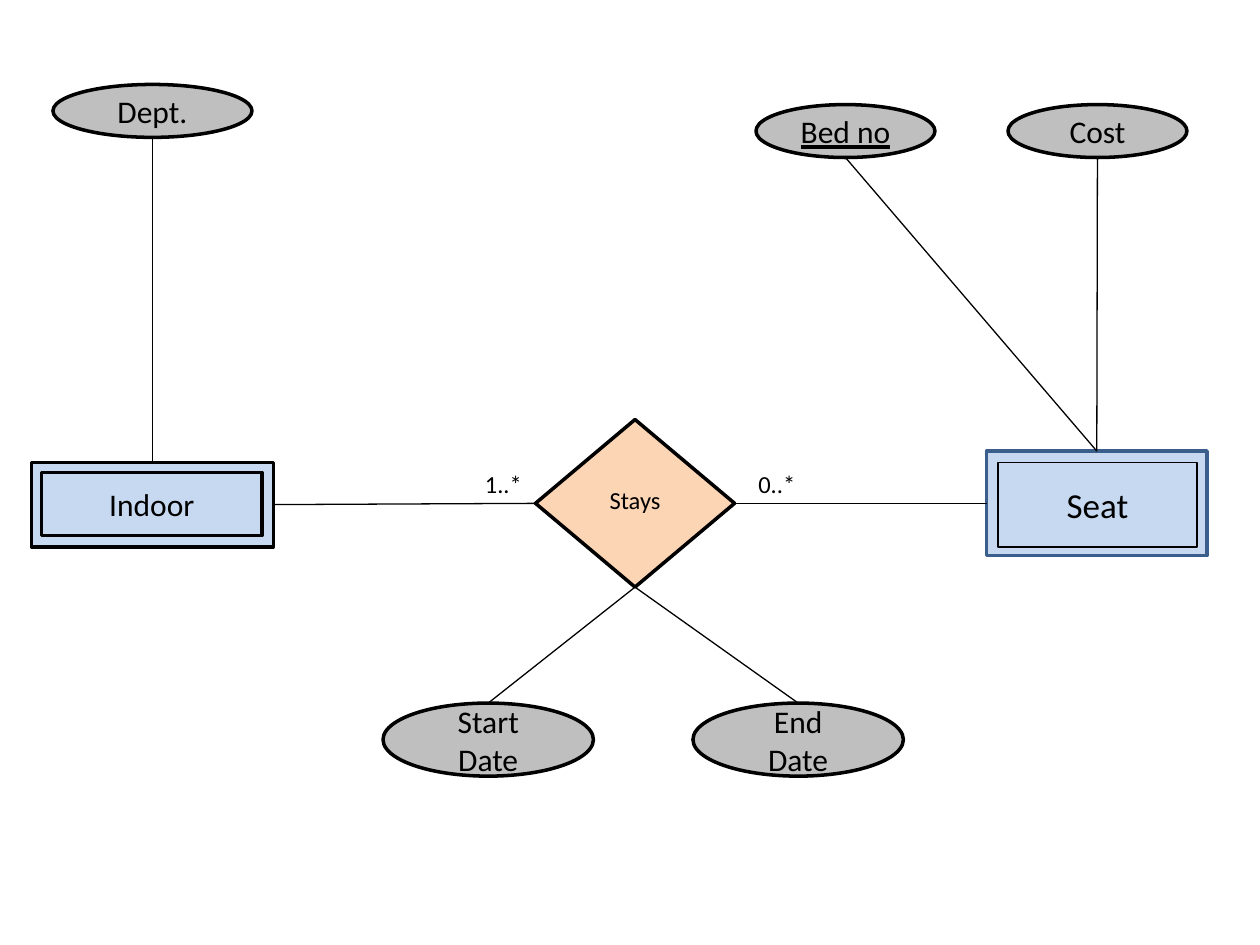
from dataclasses import dataclass

from lxml.etree import SubElement
from pptx import Presentation
from pptx.dml.color import RGBColor
from pptx.enum.shapes import MSO_CONNECTOR, MSO_SHAPE
from pptx.enum.text import MSO_ANCHOR, MSO_AUTO_SIZE, PP_ALIGN
from pptx.oxml.ns import qn
from pptx.shapes.autoshape import Shape
from pptx.slide import Slide
from pptx.util import Inches, Pt

COLORS = {
    "ink": "000000",
    "entity": "C6D9F1",
    "seat_border": "3A5F8C",
    "relationship": "FCD5B5",
    "attribute": "BFBFBF",
}
TOP, LEFT, BOTTOM, RIGHT = range(4)


@dataclass
class Node:
    kind: MSO_SHAPE
    left: float
    top: float
    width: float
    height: float
    fill: str
    text: str = ""
    size: int = 18
    border: str = "ink"
    border_width: float = 2
    underline: bool = False


def color(name: str) -> RGBColor:
    return RGBColor.from_string(COLORS[name])


def write(box: Shape, text: str, *, size: int, align: PP_ALIGN = PP_ALIGN.CENTER,
          underline: bool = False) -> None:
    for index, line in enumerate(text.split("\n")):
        frame = box.text_frame
        para = frame.add_paragraph() if index else frame.paragraphs[0]
        para.alignment = align
        span = para.add_run()
        span.text = line
        span.font.name = "Calibri"
        span.font.size = Pt(size)
        span.font.color.rgb = color("ink")
        if underline:
            span.font.underline = True


def draw_node(page: Slide, node: Node) -> Shape:
    box = page.shapes.add_shape(node.kind, Inches(node.left), Inches(node.top),
                                Inches(node.width), Inches(node.height))
    box.shadow.inherit = False
    box.fill.solid()
    box.fill.fore_color.rgb = color(node.fill)
    box.line.color.rgb = color(node.border)
    box.line.width = Pt(node.border_width)
    box.text_frame.vertical_anchor = MSO_ANCHOR.MIDDLE
    if node.text:
        write(box, node.text, size=node.size, underline=node.underline)
    return box


def draw_attribute(page: Slide, text: str, left: float, top: float, width: float,
                   height: float = 0.42, underline: bool = False) -> Shape:
    return draw_node(page, Node(MSO_SHAPE.OVAL, left, top, width, height,
                                "attribute", text, underline=underline))


def draw_link(page: Slide, start: Shape, start_site: int | None,
              end: Shape, end_site: int) -> None:
    """Join two shapes; without a start site, begin at the start's bottom middle."""
    line = page.shapes.add_connector(MSO_CONNECTOR.STRAIGHT,
                                     start.left + start.width // 2,
                                     start.top + start.height, end.left, end.top)
    if start_site is not None:
        line.begin_connect(start, start_site)
    line.end_connect(end, end_site)
    line.line.color.rgb = color("ink")
    line.line.width = Pt(0.75)
    SubElement(line._element.spPr, qn("a:effectLst"))


def draw_cardinality(page: Slide, text: str, left: float) -> None:
    box = page.shapes.add_textbox(Inches(left), Inches(3.67), Inches(0.5), Inches(0.34))
    box.text_frame.word_wrap = False
    box.text_frame.auto_size = MSO_AUTO_SIZE.SHAPE_TO_FIT_TEXT
    write(box, text, size=14, align=PP_ALIGN.LEFT)


def main() -> None:
    deck = Presentation()
    deck.slide_width, deck.slide_height = Inches(10), Inches(7.5)
    page = deck.slides.add_slide(deck.slide_layouts[6])

    # Weak entities: an outer and an inner rectangle each
    rect = MSO_SHAPE.RECTANGLE
    seat = draw_node(page, Node(rect, 7.83, 3.58, 1.75, 0.83, "entity",
                                border="seat_border"))
    draw_node(page, Node(rect, 7.92, 3.67, 1.58, 0.67, "entity", "Seat", size=20,
                         border_width=1))
    indoor = draw_node(page, Node(rect, 0.25, 3.67, 1.92, 0.67, "entity"))
    draw_node(page, Node(rect, 0.33, 3.75, 1.75, 0.5, "entity", "Indoor"))

    # Relationship
    stays = draw_node(page, Node(MSO_SHAPE.DIAMOND, 4.25, 3.33, 1.58, 1.33,
                                 "relationship", "Stays", size=14))
    stays.text_frame.word_wrap = False
    stays.text_frame.margin_bottom = Inches(0.1)

    # Attributes
    bed = draw_attribute(page, "Bed no", 6, 0.83, 1.42, underline=True)
    cost = draw_attribute(page, "Cost", 8, 0.83, 1.42)
    dept = draw_attribute(page, "Dept.", 0.42, 0.67, 1.58)
    start_date = draw_attribute(page, "Start Date", 3.04, 5.58, 1.67, 0.58)
    end_date = draw_attribute(page, "End\nDate", 5.5, 5.58, 1.67, 0.58)

    # Links
    draw_link(page, stays, RIGHT, seat, LEFT)
    draw_link(page, stays, LEFT, indoor, RIGHT)
    for attribute, entity in ((bed, seat), (cost, seat), (dept, indoor)):
        draw_link(page, attribute, None, entity, TOP)
    for attribute in (start_date, end_date):
        draw_link(page, attribute, TOP, stays, BOTTOM)

    # Cardinalities
    draw_cardinality(page, "1..*", 3.75)
    draw_cardinality(page, "0..*", 5.92)

    deck.save("out.pptx")


if __name__ == "__main__":
    main()
